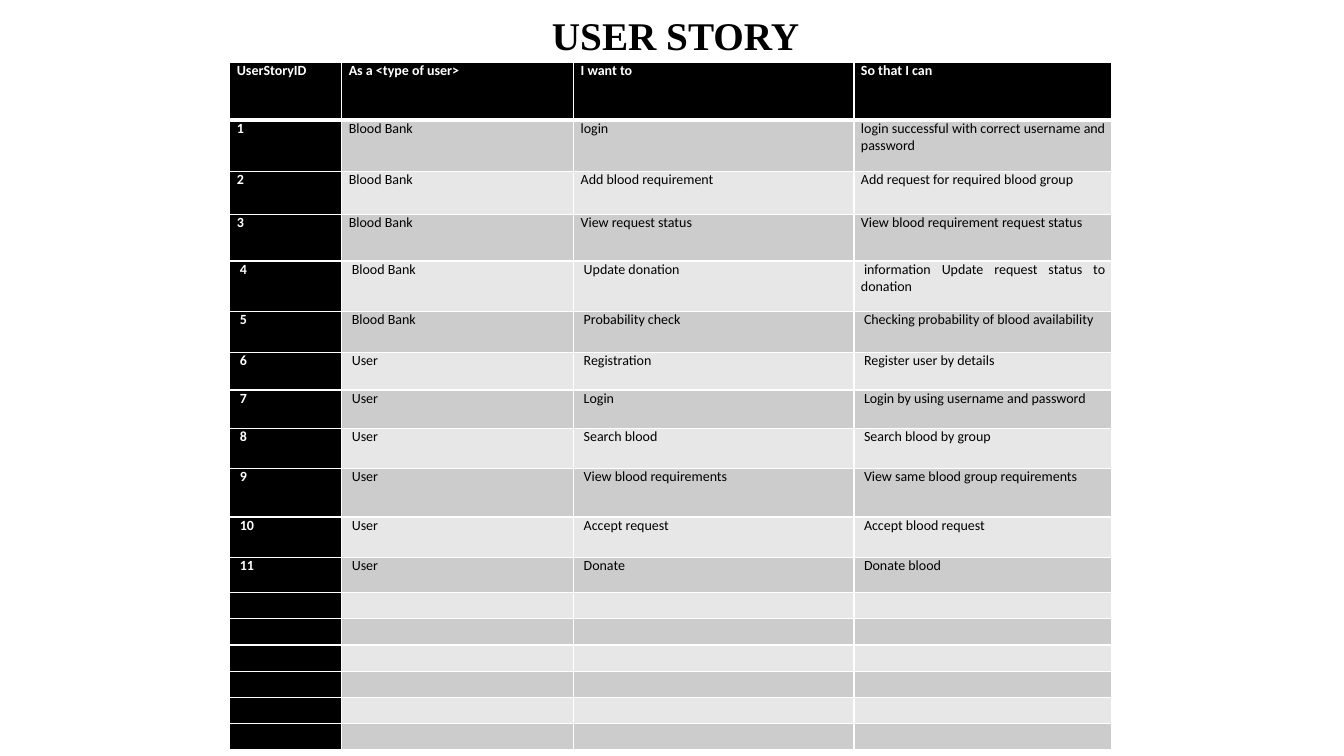
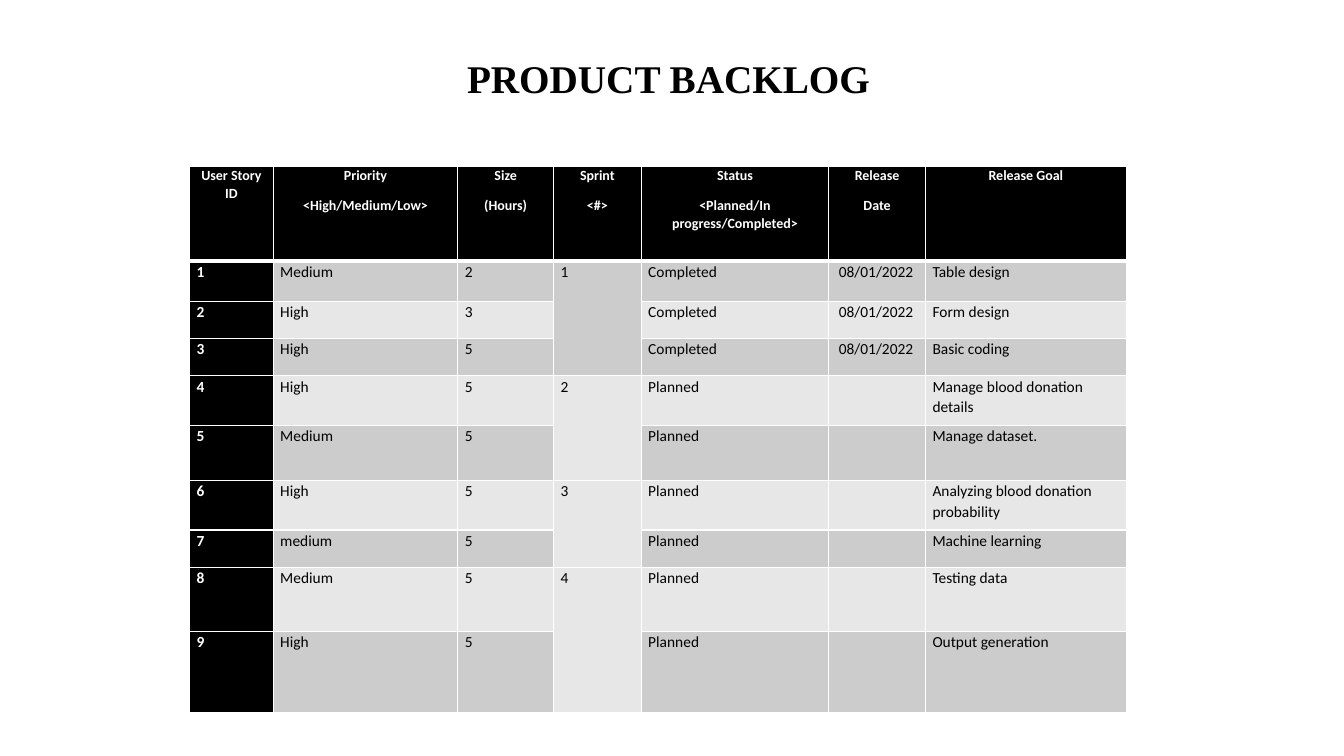
import pptx
import pptx.dml.color
import pptx.enum.text
import pptx.oxml
import pptx.oxml.ns
import pptx.util
from pptx.util import Inches

BLACK, WHITE = "000000", "FFFFFF"
BANDS = ("CCCCCC", "E7E7E7")
TITLE_FONT, TABLE_FONT = "Times New Roman", "Calibri"
ALIGN = pptx.enum.text.PP_ALIGN

STORY_ROWS = [
    ("UserStoryID", "As a <type of user>", "I want to", "So that I can"),
    ("1", "Blood Bank", "login", "login successful with correct username and password"),
    ("2", "Blood Bank", "Add blood requirement", "Add request for required blood group"),
    ("3", "Blood Bank", "View request status", "View blood requirement request status"),
    ("4", "Blood Bank", "Update donation", "information Update request status to donation"),
    ("5", "Blood Bank", "Probability check", "Checking probability of blood availability"),
    ("6", "User", "Registration", "Register user by details"),
    ("7", "User", "Login", "Login by using username and password"),
    ("8", "User", "Search blood", "Search blood by group"),
    ("9", "User", "View blood requirements", "View same blood group requirements"),
    ("10", "User", "Accept request", "Accept blood request"),
    ("11", "User", "Donate", "Donate blood"),
] + [("",) * 4] * 6

BACKLOG_ROWS = [
    ("User Story ID", "Priority\n<High/Medium/Low>", "Size\n(Hours)", "Sprint\n<#>",
     "Status\n<Planned/In progress/Completed>", "Release\nDate", "Release Goal"),
    ("1", "Medium", "2", "1", "Completed", "08/01/2022", "Table design"),
    ("2", "High", "3", None, "Completed", "08/01/2022", "Form design"),
    ("3", "High", "5", None, "Completed", "08/01/2022", "Basic coding"),
    ("4", "High", "5", "2", "Planned", "", "Manage blood donation details"),
    ("5", "Medium", "5", None, "Planned", "", "Manage dataset."),
    ("6", "High", "5", "3", "Planned", "", "Analyzing blood donation probability"),
    ("7", "medium", "5", None, "Planned", "", "Machine learning"),
    ("8", "Medium", "5", "4", "Planned", "", "Testing data"),
    ("9", "High", "5", None, "Planned", "", "Output generation"),
]

SLIDES = [
    {
        "title": "USER STORY", "title_at": (0.95, -0.11), "title_bottom": 0.52,
        "table_at": (2.28, 0.62), "rows": STORY_ROWS,
        "widths": [1.11, 2.3, 2.78, 2.56],
        "heights": [0.57, 0.51, 0.43, 0.46, 0.5, 0.41, 0.37, 0.38, 0.4, 0.48, 0.4, 0.35]
        + [0.26] * 6,
        "header": {"size": 10, "align": ALIGN.JUSTIFY},
        "body": {"size": 10, "align": ALIGN.JUSTIFY},
        "indented": lambda row, column: row >= 4,
    },
    {
        "title": "PRODUCT BACKLOG", "title_at": (0.88, 0.08), "title_bottom": 0.05,
        "table_at": (1.88, 1.65), "rows": BACKLOG_ROWS,
        "widths": [0.83, 1.83, 0.95, 0.87, 1.86, 0.96, 1.99],
        "heights": [0.94, 0.4, 0.37, 0.37, 0.49, 0.55, 0.49, 0.37, 0.64, 0.8],
        "header": {"size": 10, "align": ALIGN.CENTER, "line": 1.07, "after": 8},
        "body": {"size": 11, "align": ALIGN.LEFT, "line": 1.07, "after": 8},
        "indented": lambda row, column: row >= 1 and column == 5,
    },
]


def color(value):
    return pptx.dml.color.RGBColor.from_string(value)


def write(frame, text, size, align, font=TABLE_FONT, fill=BLACK, bold=False,
          line=1.0, after=0, indent=0):
    for index, content in enumerate(text.split("\n")):
        paragraph = frame.add_paragraph() if index else frame.paragraphs[0]
        paragraph.alignment = align
        paragraph.line_spacing = line
        paragraph.space_after = pptx.util.Pt(after)
        if indent:
            paragraph._p.get_or_add_pPr().set("indent", str(Inches(indent)))
        if not content:
            end = pptx.oxml.parse_xml(
                f'<a:endParaRPr {pptx.oxml.ns.nsdecls("a")} sz="{size * 100}"/>')
            paragraph._p.append(end)
            continue
        run = paragraph.add_run()
        run.text = content
        run.font.name = font
        run.font.size = pptx.util.Pt(size)
        run.font.bold = bold
        run.font.color.rgb = color(fill)


def add_title(slide, content):
    left, top = content["title_at"]
    box = slide.shapes.add_textbox(Inches(left), Inches(top), Inches(11.5), Inches(1.45))
    frame = box.text_frame
    frame.word_wrap = True
    frame.vertical_anchor = pptx.enum.text.MSO_ANCHOR.MIDDLE
    frame.margin_bottom = Inches(content["title_bottom"])
    write(frame, content["title"], 28, ALIGN.CENTER, font=TITLE_FONT, bold=True, line=0.9)


def set_borders(cell, top, bottom):
    properties = cell._tc.get_or_add_tcPr()
    for side, width in (("L", 1), ("R", 1), ("T", top), ("B", bottom)):
        properties.append(pptx.oxml.parse_xml(
            f'<a:ln{side} {pptx.oxml.ns.nsdecls("a")} w="{pptx.util.Pt(width)}">'
            f'<a:solidFill><a:srgbClr val="{WHITE}"/></a:solidFill></a:ln{side}>'))


def format_cell(cell, row, column):
    cell.margin_left = cell.margin_right = Inches(0.07)
    cell.margin_top = cell.margin_bottom = 0
    set_borders(cell, top=3 if row == 1 else 1, bottom=3 if row == 0 else 1)
    cell.fill.solid()
    dark = row == 0 or column == 0
    cell.fill.fore_color.rgb = color(BLACK if dark else BANDS[(row - 1) % 2])
    return dark


def add_table(slide, content):
    rows, widths, heights = content["rows"], content["widths"], content["heights"]
    left, top = content["table_at"]
    table = slide.shapes.add_table(
        len(rows), len(widths), Inches(left), Inches(top),
        Inches(sum(widths)), Inches(sum(heights))).table
    for column, width in zip(table.columns, widths):
        column.width = Inches(width)
    for row, height in zip(table.rows, heights):
        row.height = Inches(height)
    for row, values in enumerate(rows):
        for column, text in enumerate(values):
            cell = table.cell(row, column)
            dark = format_cell(cell, row, column)
            style = content["body" if row else "header"]
            indent = 0.03 if content["indented"](row, column) else 0
            write(cell.text_frame, text or "", fill=WHITE if dark else BLACK,
                  bold=dark, indent=indent, **style)
    merge_continued(table, rows)


def merge_continued(table, rows):
    for column in range(len(rows[0])):
        start = 0
        for row in range(1, len(rows) + 1):
            if row == len(rows) or rows[row][column] is not None:
                if row - start > 1:
                    table.cell(start, column).merge(table.cell(row - 1, column))
                start = row


def main():
    presentation = pptx.Presentation()
    presentation.slide_width = Inches(13.33)
    presentation.slide_height = Inches(7.5)
    for content in SLIDES:
        slide = presentation.slides.add_slide(presentation.slide_layouts[6])
        add_title(slide, content)
        add_table(slide, content)
    presentation.save("out.pptx")


if __name__ == "__main__":
    main()
